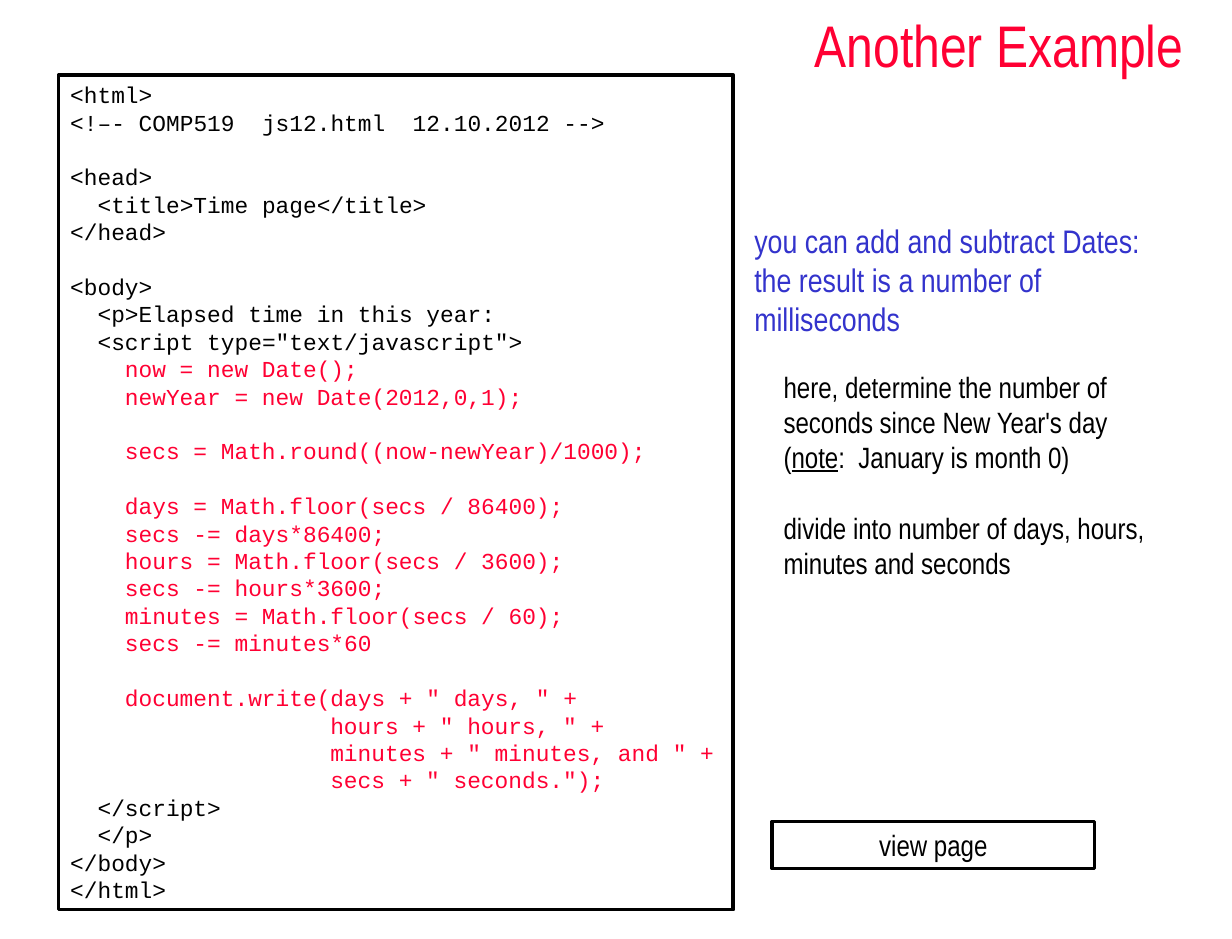
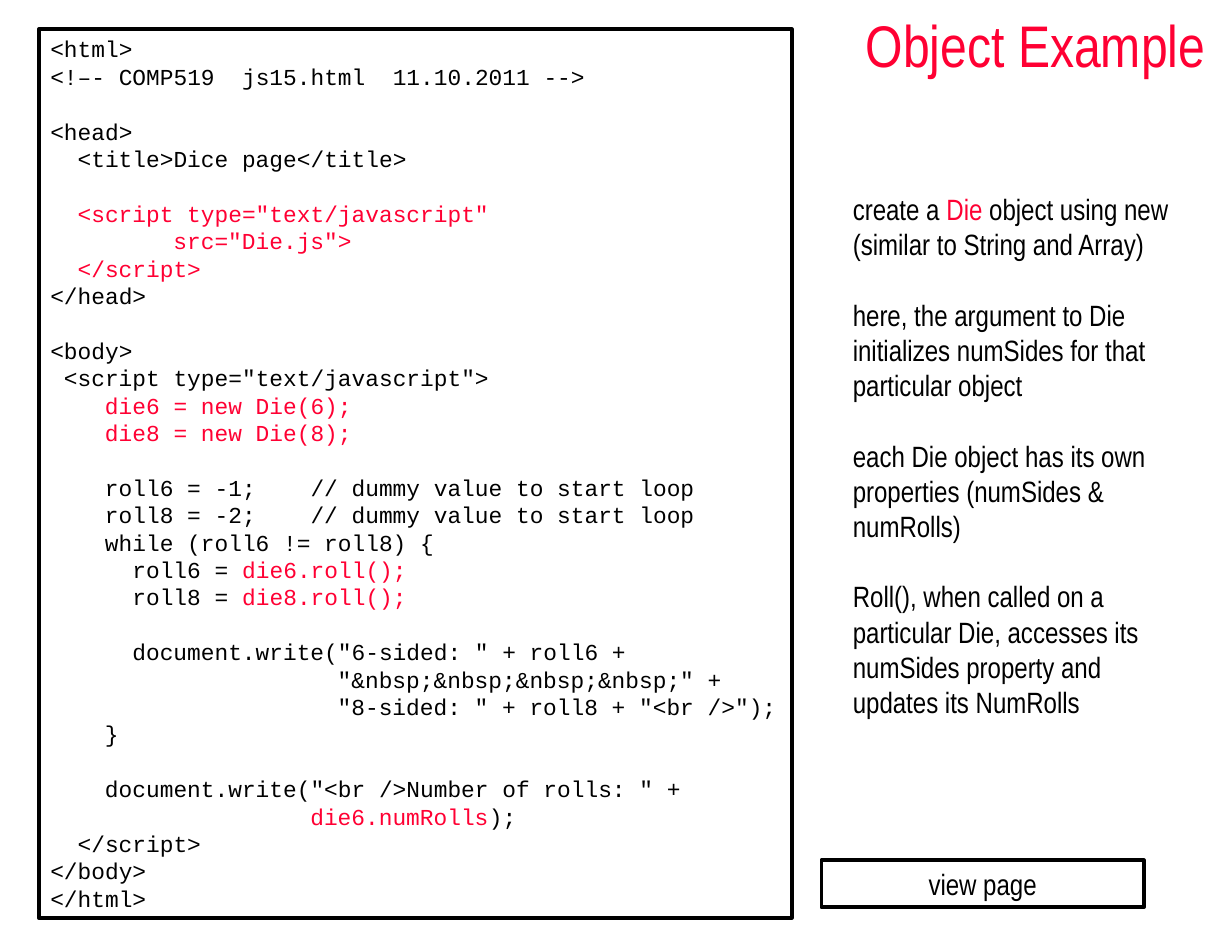
from pptx import Presentation
from pptx.dml.color import RGBColor
from pptx.enum.shapes import MSO_SHAPE
from pptx.enum.text import MSO_ANCHOR, MSO_AUTO_SIZE, PP_ALIGN
from pptx.util import Inches, Pt

RED = RGBColor(0xFF, 0x00, 0x33)
BLUE = RGBColor(0x33, 0x33, 0xCC)
BLACK = RGBColor(0, 0, 0)

LINE_HEIGHT = 1.2
CODE_SIZE = 14
CODE_CHAR = 0.6 * CODE_SIZE / 72

TITLE = {"name": "Arial Narrow", "size": 36, "color": RED}
CODE = {"name": "Courier New", "size": CODE_SIZE, "color": BLACK}
NOTE = {"name": "Arial Narrow", "size": 18, "color": BLACK}
LEAD = {**NOTE, "size": 20, "color": BLUE}


def red(text):
    return text, {"color": RED}


def underlined(text):
    return text, {"underline": True}


# Each line is an indent followed by its runs; a blank line separates blocks.
TIME_CODE = [
    [(0, "<html>"),
     (0, "<!–- COMP519  js12.html  12.10.2012 -->")],
    [(0, "<head>"),
     (2, "<title>Time page</title>"),
     (0, "</head>")],
    [(0, "<body>"),
     (2, "<p>Elapsed time in this year:"),
     (2, '<script type="text/javascript">'),
     (4, red("now = new Date();")),
     (4, red("newYear = new Date(2012,0,1);"))],
    [(4, red("secs = Math.round((now-newYear)/1000);"))],
    [(4, red("days = Math.floor(secs / 86400);")),
     (4, red("secs -= days*86400;")),
     (4, red("hours = Math.floor(secs / 3600);")),
     (4, red("secs -= hours*3600;")),
     (4, red("minutes = Math.floor(secs / 60);")),
     (4, red("secs -= minutes*60"))],
    [(4, red('document.write(days + " days, " +')),
     (19, red('hours + " hours, " +')),
     (19, red('minutes + " minutes, and " +')),
     (19, red('secs + " seconds.");')),
     (2, "</script>"),
     (2, "</p>"),
     (0, "</body>"),
     (0, "</html>")],
]

DICE_CODE = [
    [(0, "<html>"),
     (0, "<!–- COMP519  js15.html  11.10.2011 -->")],
    [(0, "<head>"),
     (2, "<title>Dice page</title>")],
    [(2, red('<script type="text/javascript"')),
     (9, red('src="Die.js">')),
     (2, red("</script>")),
     (0, "</head>")],
    [(0, "<body>"),
     (1, '<script type="text/javascript">'),
     (4, red("die6 = new Die(6);")),
     (4, red("die8 = new Die(8);"))],
    [(4, "roll6 = -1;    // dummy value to start loop"),
     (4, "roll8 = -2;    // dummy value to start loop"),
     (4, "while (roll6 != roll8) {"),
     (6, "roll6 =", red(" die6.roll();")),
     (6, "roll8 =", red(" die8.roll();"))],
    [(6, 'document.write("6-sided: " + roll6 +'),
     (21, '"&nbsp;&nbsp;&nbsp;&nbsp;" +'),
     (21, '"8-sided: " + roll8 + "<br />");'),
     (4, "}")],
    [(4, 'document.write("<br />Number of rolls: " +'),
     (19, red("die6.numRolls"), ");"),
     (2, "</script>"),
     (0, "</body>"),
     (0, "</html>")],
]

TIME_NOTES = [
    (LEAD, 0, [(0, "you can add and subtract Dates:"),
               (0, "the result is a number of milliseconds")]),
    (NOTE, 16, [(0.25, "here, determine the number of seconds since New Year's day"),
                (0.25, "(", underlined("note"), ":  January is month 0)")]),
    (NOTE, 18, [(0.25, "divide into number of days, hours, minutes and seconds")]),
]

DICE_NOTES = [
    (NOTE, 0, [(0, "create a ", red("Die"),
                " object using new (similar to String and Array)")]),
    (NOTE, 18, [(0, "here, the argument to Die initializes numSides "
                    "for that particular object")]),
    (NOTE, 18, [(0, "each Die object has its own properties (numSides & numRolls)")]),
    (NOTE, 18, [(0, "Roll(), when called on a particular Die, accesses its "
                    "numSides property and updates its NumRolls")]),
]

SLIDES = [
    {"title": ("Another Example", (6.53, 0, 3.97, 0.75)),
     "code": (TIME_CODE, (0.5, 0.64, 5.75, 7.11)),
     "notes": (TIME_NOTES, (6.33, 1.83, 3.92, 4.27)),
     "button": ("view page", (6.58, 7, 2.75, 0.4))},
    {"title": ("Object Example", (7.15, 0, 3.35, 0.75)),
     "code": (DICE_CODE, (0.33, 0.25, 6.42, 7.57)),
     "notes": (DICE_NOTES, (7.17, 1.58, 3, 4.6)),
     "button": ("view page", (7, 7.33, 2.75, 0.4))},
]


def style_font(font, style):
    for key, value in style.items():
        if key == "color":
            font.color.rgb = value
        else:
            setattr(font, key, Pt(value) if key == "size" else value)


def write(frame, blocks, align=PP_ALIGN.LEFT, anchor=MSO_ANCHOR.TOP):
    settings = {"word_wrap": True, "vertical_anchor": anchor,
                "auto_size": MSO_AUTO_SIZE.NONE}
    for key, value in settings.items():
        setattr(frame, key, value)
    paragraph = None
    for style, gap, lines in blocks:
        for number, (indent, *runs) in enumerate(lines):
            paragraph = frame.add_paragraph() if paragraph else frame.paragraphs[0]
            spacing = {"alignment": align,
                       "line_spacing": Pt(LINE_HEIGHT * style["size"]),
                       "space_before": Pt(0 if number else LINE_HEIGHT * gap)}
            for key, value in spacing.items():
                setattr(paragraph, key, value)
            margins = paragraph._p.get_or_add_pPr()
            margins.set("marL", str(Inches(indent)))
            margins.set("indent", "0")
            for piece in runs:
                text, change = (piece, {}) if isinstance(piece, str) else piece
                run = paragraph.add_run()
                run.text = text
                style_font(run.font, {**style, **change})


def add_text(slide, place):
    return slide.shapes.add_textbox(*map(Inches, place)).text_frame


def add_frame(slide, place):
    outline = slide.shapes.add_shape(MSO_SHAPE.RECTANGLE, *map(Inches, place))
    outline.shadow.inherit = False
    outline.fill.background()
    outline.line.color.rgb = BLACK
    outline.line.width = Pt(2.25)
    return outline.text_frame


def code_blocks(listing):
    return [(CODE, CODE_SIZE if number else 0,
             [(indent * CODE_CHAR, *runs) for indent, *runs in lines])
            for number, lines in enumerate(listing)]


def build_slide(deck, content):
    slide = deck.slides.add_slide(deck.slide_layouts[6])
    title, title_place = content["title"]
    write(add_text(slide, title_place), [(TITLE, 0, [(0, title)])],
          PP_ALIGN.CENTER, MSO_ANCHOR.MIDDLE)
    listing, code_place = content["code"]
    write(add_frame(slide, code_place), code_blocks(listing))
    notes, notes_place = content["notes"]
    write(add_text(slide, notes_place), notes)
    label, button_place = content["button"]
    write(add_frame(slide, button_place), [(NOTE, 0, [(0, label)])], PP_ALIGN.CENTER)


def main():
    deck = Presentation()
    deck.slide_width, deck.slide_height = Inches(10.5), Inches(8)
    for content in SLIDES:
        build_slide(deck, content)
    deck.save("out.pptx")


if __name__ == "__main__":
    main()
